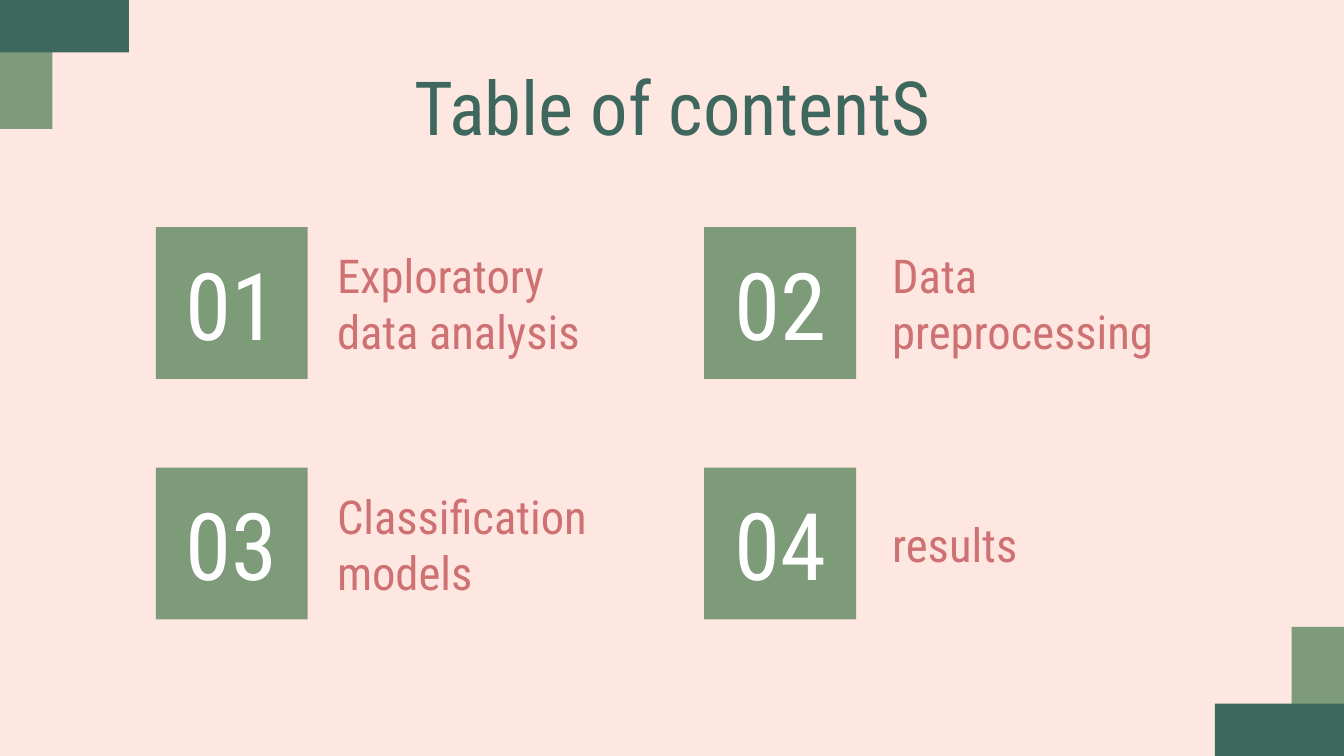
import pptx
import pptx.dml.color
import pptx.enum.shapes
import pptx.enum.text
import pptx.util

Inches = pptx.util.Inches
ALIGN = pptx.enum.text.PP_ALIGN
FONT = "Roboto Condensed"
BACKGROUND, DARK_GREEN, GREEN, ROSE, WHITE = "FFE7E1", "3E675D", "7D9A79", "CE7173", "FFFFFF"
WIDTH = 10
HEIGHT = WIDTH * 9 / 16
CORNER_LONG, CORNER_SHORT = 0.96, 0.39
COLUMNS = [(1.16, 2.41), (5.24, 6.54)]
ROWS = [1.69, 3.48]
BOX_SIZE, LABEL_WIDTH, LABEL_HEIGHT = 1.13, 2.3, 0.66
TOPICS = ["Exploratory data analysis", "Data preprocessing", "Classification models", "results"]


def set_color(color_format, value):
    """Apply a hex colour to a fill, a font colour or a background."""
    color_format.rgb = pptx.dml.color.RGBColor.from_string(value)


def apply_format(target, values):
    """Set each attribute named in a dict of format values."""
    for name, value in values.items():
        setattr(target, name, value)


def write_text(shape, text, size, color, alignment, right_inset=0.1):
    """Put one vertically centred paragraph of styled text in a shape."""
    frame = shape.text_frame
    frame.text = text
    apply_format(frame, {
        "word_wrap": True,
        "auto_size": pptx.enum.text.MSO_AUTO_SIZE.NONE,
        "vertical_anchor": pptx.enum.text.MSO_ANCHOR.MIDDLE,
        "margin_left": Inches(0.1),
        "margin_top": Inches(0.1),
        "margin_right": Inches(right_inset),
        "margin_bottom": Inches(0.1),
    })
    paragraph = frame.paragraphs[0]
    paragraph.alignment = alignment
    font = paragraph.runs[0].font
    apply_format(font, {"name": FONT, "size": pptx.util.Pt(size)})
    set_color(font.color, color)


def add_rectangle(slide, left, top, width, height, color):
    """Add a flat filled rectangle without an outline."""
    shape = slide.shapes.add_shape(
        pptx.enum.shapes.MSO_SHAPE.RECTANGLE,
        Inches(left), Inches(top), Inches(width), Inches(height))
    shape.shadow.inherit = False
    shape.fill.solid()
    set_color(shape.fill.fore_color, color)
    shape.line.fill.background()
    return shape


def add_corners(slide):
    """Add the stepped bars in the top left and bottom right corners."""
    for width, height, color in [(CORNER_SHORT, CORNER_LONG, GREEN),
                                 (CORNER_LONG, CORNER_SHORT, DARK_GREEN)]:
        add_rectangle(slide, 0, 0, width, height, color)
        add_rectangle(slide, WIDTH - width, HEIGHT - height, width, height, color)


def add_title(slide, text):
    """Place and style the title placeholder."""
    title = slide.shapes.title
    apply_format(title, {"left": Inches(0.79), "top": Inches(0.52),
                         "width": Inches(8.43), "height": Inches(0.53)})
    write_text(title, text, 40, DARK_GREEN, ALIGN.CENTER)


def add_topic(slide, number, text, box_left, label_left, top):
    """Add a numbered square with its topic label beside it."""
    box = add_rectangle(slide, box_left, top, BOX_SIZE, BOX_SIZE, GREEN)
    write_text(box, f"{number:02}", 50, WHITE, ALIGN.CENTER)
    label_top = top + (BOX_SIZE - LABEL_HEIGHT) / 2
    label = slide.shapes.add_textbox(
        Inches(label_left), Inches(label_top), Inches(LABEL_WIDTH), Inches(LABEL_HEIGHT))
    write_text(label, text, 25, ROSE, ALIGN.LEFT, right_inset=0.2)


def main():
    """Build the table of contents slide."""
    presentation = pptx.Presentation()
    apply_format(presentation, {"slide_width": Inches(WIDTH), "slide_height": Inches(HEIGHT)})
    slide = presentation.slides.add_slide(presentation.slide_layouts[5])
    slide.background.fill.solid()
    set_color(slide.background.fill.fore_color, BACKGROUND)
    add_corners(slide)
    add_title(slide, "Table of contentS")
    for index, text in enumerate(TOPICS):
        row, column = divmod(index, len(COLUMNS))
        add_topic(slide, index + 1, text, *COLUMNS[column], ROWS[row])
    presentation.save("out.pptx")


if __name__ == "__main__":
    main()
